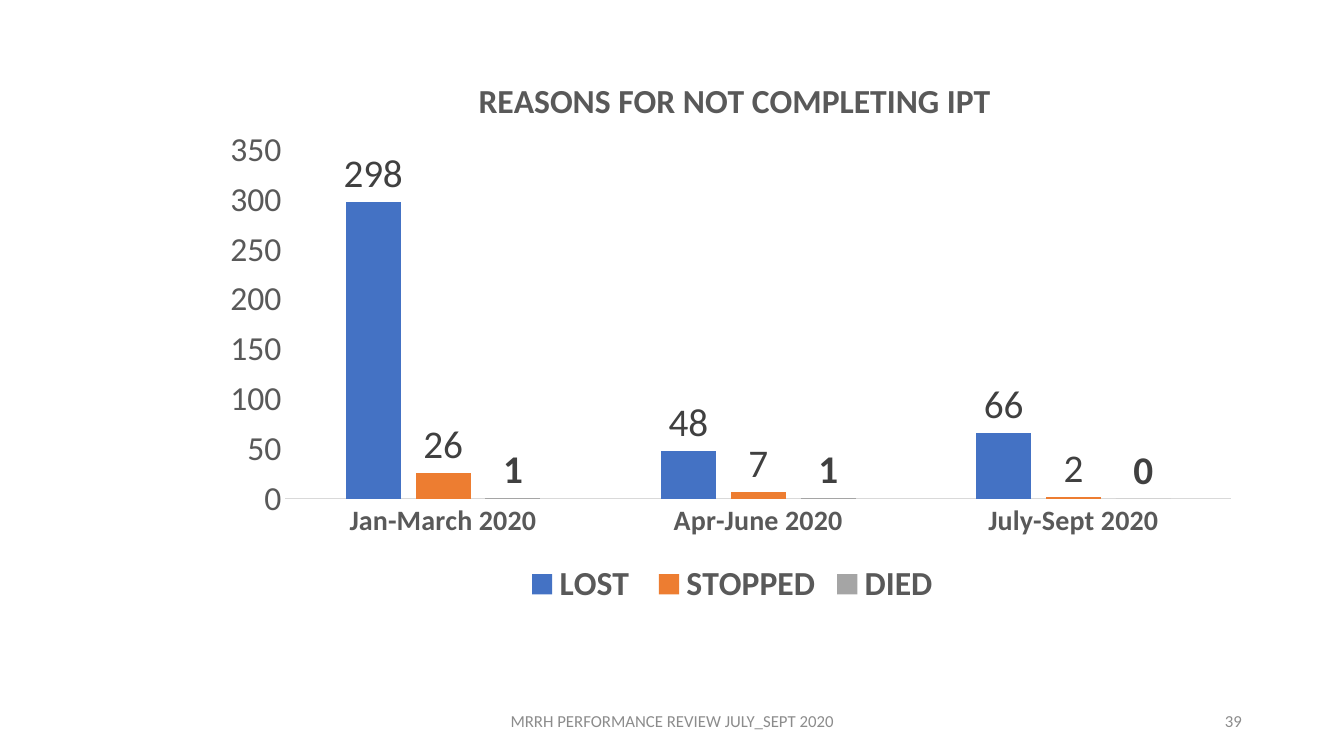
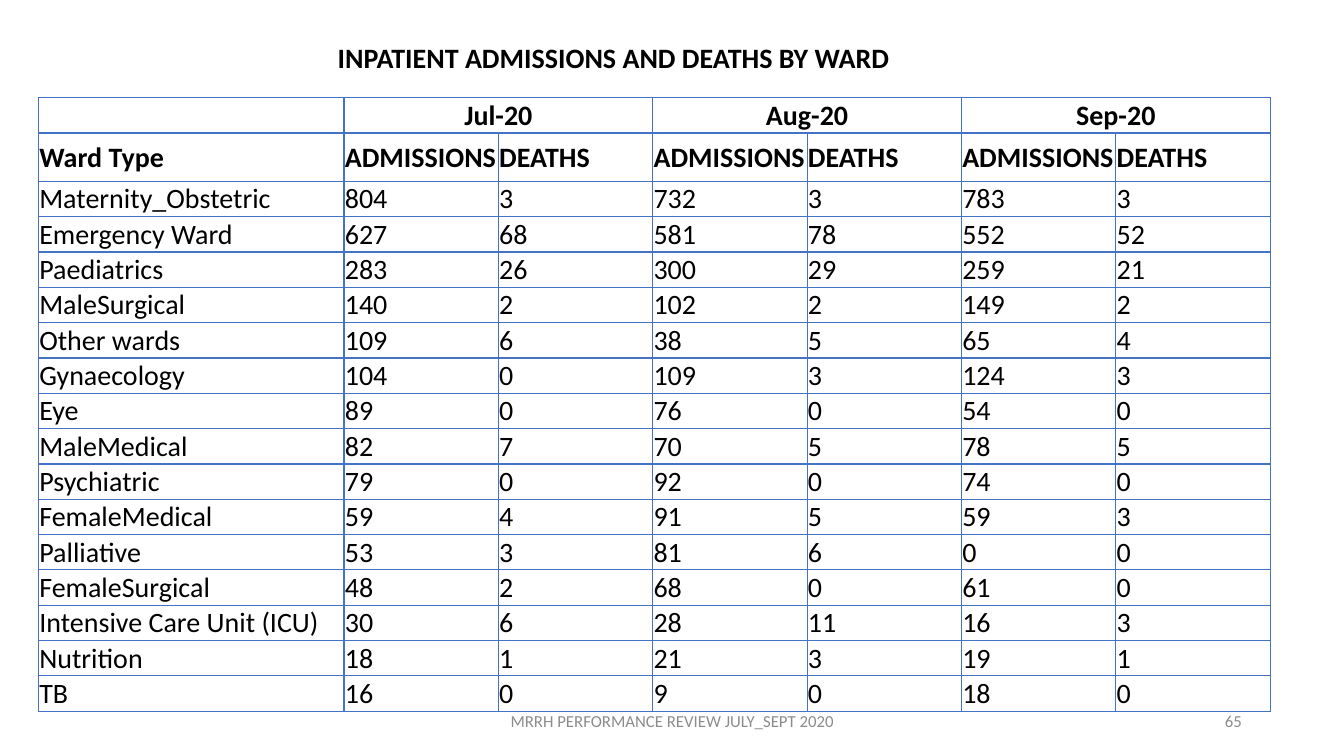
from dataclasses import dataclass

from lxml import etree
from pptx import Presentation
from pptx.chart.data import CategoryChartData
from pptx.dml.color import RGBColor
from pptx.enum.chart import XL_CHART_TYPE, XL_LABEL_POSITION, XL_LEGEND_POSITION, XL_TICK_MARK
from pptx.enum.text import MSO_ANCHOR, MSO_AUTO_SIZE, PP_ALIGN
from pptx.oxml import parse_xml
from pptx.oxml.ns import nsdecls, qn
from pptx.util import Cm, Pt

LEFT, CENTER, RIGHT = PP_ALIGN.LEFT, PP_ALIGN.CENTER, PP_ALIGN.RIGHT
MIDDLE = MSO_ANCHOR.MIDDLE
NO_TICKS = XL_TICK_MARK.NONE
OUTSIDE_END = XL_LABEL_POSITION.OUTSIDE_END
TITLE_ONLY, BLANK = 5, 6

# Content
FOOTER = "MRRH PERFORMANCE REVIEW JULY_SEPT 2020"

REASONS_TITLE = "REASONS FOR NOT COMPLETING IPT"
QUARTERS = ["Jan-March 2020", "Apr-June 2020", "July-Sept 2020"]
REASONS = [  # name, counts per quarter, colour, bold labels
    ("LOST ", (298, 48, 66), "4472C4", False),
    ("STOPPED", (26, 7, 2), "ED7D31", False),
    ("DIED", (1, 1, 0), "A5A5A5", True),
]

WARDS_TITLE = "INPATIENT ADMISSIONS AND DEATHS BY WARD"
MONTHS = ["Jul-20", "Aug-20", "Sep-20"]
MEASURES = ["ADMISSIONS", "DEATHS"]
WARDS = [  # admissions and deaths, month by month
    ("Maternity_Obstetric", 804, 3, 732, 3, 783, 3),
    ("Emergency Ward", 627, 68, 581, 78, 552, 52),
    ("Paediatrics", 283, 26, 300, 29, 259, 21),
    ("MaleSurgical", 140, 2, 102, 2, 149, 2),
    ("Other wards", 109, 6, 38, 5, 65, 4),
    ("Gynaecology", 104, 0, 109, 3, 124, 3),
    ("Eye", 89, 0, 76, 0, 54, 0),
    ("MaleMedical", 82, 7, 70, 5, 78, 5),
    ("Psychiatric", 79, 0, 92, 0, 74, 0),
    ("FemaleMedical", 59, 4, 91, 5, 59, 3),
    ("Palliative", 53, 3, 81, 6, 0, 0),
    ("FemaleSurgical", 48, 2, 68, 0, 61, 0),
    ("Intensive Care Unit (ICU)", 30, 6, 28, 11, 16, 3),
    ("Nutrition", 18, 1, 21, 3, 19, 1),
    ("TB", 16, 0, 9, 0, 18, 0),
]


@dataclass(frozen=True)
class Theme:
    font: str = "Calibri"
    text: str = "000000"
    footer: str = "8C8C8C"
    chart_text: str = "595959"
    label_text: str = "404040"
    axis_line: str = "D9D9D9"
    border: str = "4472C4"
    footer_size: int = 12
    body_size: int = 20
    chart_size: int = 24
    label_size: int = 28


THEME = Theme()


def style_font(font, size, color, bold=False):
    font.name = THEME.font
    font.size = Pt(size)
    font.bold = bold
    font.color.rgb = RGBColor.from_string(color)


def set_text(frame, text, size, color, align, bold=False):
    frame.text = text
    paragraph = frame.paragraphs[0]
    paragraph.alignment = align
    style_font(paragraph.font, size, color, bold)


def add_footer(slide, number):
    for text, left, width, align in ((FOOTER, 11.23, 11.43, CENTER),
                                     (number, 23.93, 7.62, RIGHT)):
        frame = slide.shapes.add_textbox(Cm(left), Cm(17.65), Cm(width), Cm(1.02)).text_frame
        frame.word_wrap = True
        frame.vertical_anchor = MIDDLE
        set_text(frame, text, THEME.footer_size, THEME.footer, align)


def set_layout(parent, index, **fractions):
    """Fix a chart part's place, in fractions of the chart."""
    for old in parent.findall(qn("c:layout")):
        parent.remove(old)
    layout = parse_xml(f"<c:layout {nsdecls('c')}><c:manualLayout/></c:layout>")
    manual = layout[0]
    if "w" in fractions:
        etree.SubElement(manual, qn("c:layoutTarget"), val="inner")
    for side in ("x", "y"):
        etree.SubElement(manual, qn(f"c:{side}Mode"), val="edge")
    for key, value in fractions.items():
        etree.SubElement(manual, qn(f"c:{key}"), val=str(value))
    parent.insert(index, layout)


def add_reasons_chart(slide):
    data = CategoryChartData()
    data.categories = QUARTERS
    for name, counts, *_ in REASONS:
        data.add_series(name, counts)
    chart = slide.shapes.add_chart(XL_CHART_TYPE.COLUMN_CLUSTERED, Cm(5.36), Cm(1.24),
                                   Cm(26.19), Cm(14.17), data).chart
    style_font(chart.font, 10, THEME.text)

    # Title and legend
    chart.has_title = True
    set_text(chart.chart_title.text_frame, REASONS_TITLE, THEME.chart_size,
             THEME.chart_text, CENTER, bold=True)
    set_layout(chart.chart_title.element, 1, x=0.25, y=0.04)
    chart.has_legend = True
    chart.legend.position = XL_LEGEND_POSITION.BOTTOM
    chart.legend.include_in_layout = False
    style_font(chart.legend.font, THEME.chart_size, THEME.chart_text, bold=True)

    # Axes
    quarters, counts_axis = chart.category_axis, chart.value_axis
    for axis in (quarters, counts_axis):
        axis.major_tick_mark = axis.minor_tick_mark = NO_TICKS
        axis.has_major_gridlines = False
    style_font(quarters.tick_labels.font, THEME.body_size, THEME.chart_text, bold=True)
    quarters.format.line.color.rgb = RGBColor.from_string(THEME.axis_line)
    quarters.format.line.width = Pt(0.75)
    style_font(counts_axis.tick_labels.font, THEME.chart_size, THEME.chart_text)
    counts_axis.format.line.fill.background()
    counts_axis.minimum_scale, counts_axis.maximum_scale = 0, 350
    counts_axis.major_unit = 50

    # Columns
    columns = chart.plots[0]
    columns.gap_width, columns.overlap = 219, -27
    columns.vary_by_categories = False
    for series, (_, _, color, bold) in zip(columns.series, REASONS):
        series.format.fill.solid()
        series.format.fill.fore_color.rgb = RGBColor.from_string(color)
        labels = series.data_labels
        labels.show_value = True
        labels.position = OUTSIDE_END
        style_font(labels.font, THEME.label_size, THEME.label_text, bold)
    plot_area = chart.element.find(f".//{qn('c:plotArea')}")
    set_layout(plot_area, 0, x=0.07, y=0.18, w=0.91, h=0.62)


def format_cell(cell, text, align, bold):
    cell.margin_left = cell.margin_right = cell.margin_top = Cm(0.02)
    cell.margin_bottom = 0
    cell.vertical_anchor = MIDDLE
    set_text(cell.text_frame, text, THEME.body_size, THEME.text, align, bold)
    properties = cell._tc.get_or_add_tcPr()
    for side in "LRTB":
        properties.append(parse_xml(
            f'<a:ln{side} {nsdecls("a")} w="{Pt(1)}"><a:solidFill>'
            f'<a:srgbClr val="{THEME.border}"/></a:solidFill></a:ln{side}>'))
    cell.fill.background()


def add_wards_table(slide):
    month_row = [""]
    for month in MONTHS:
        month_row += [month, ""]
    rows = [month_row, ["Ward Type"] + MEASURES * len(MONTHS), *WARDS]
    widths = [7.7] + [3.89] * (len(month_row) - 1)
    heights = [0.89, 1.22] + [0.89] * len(WARDS)
    table = slide.shapes.add_table(len(rows), len(widths), Cm(0.97), Cm(2.46),
                                   Cm(sum(widths)), Cm(sum(heights))).table
    table.first_row = table.horz_banding = False
    for column, width in zip(table.columns, widths):
        column.width = Cm(width)
    for row, height in zip(table.rows, heights):
        row.height = Cm(height)
    for r, values in enumerate(rows):
        for c, value in enumerate(values):
            format_cell(table.cell(r, c), str(value), CENTER if r == 0 else LEFT, r < 2)
    for c in range(1, len(widths), len(MEASURES)):
        table.cell(0, c).merge(table.cell(0, c + len(MEASURES) - 1))


def add_title(slide, text):
    title = slide.shapes.title
    title.left, title.top, title.width, title.height = Cm(8.2), Cm(0.89), Cm(14.53), Cm(1.12)
    frame = title.text_frame
    frame.auto_size = MSO_AUTO_SIZE.NONE
    frame.word_wrap = False
    frame.vertical_anchor = MIDDLE
    set_text(frame, text, THEME.body_size, THEME.text, CENTER, bold=True)


def main():
    deck = Presentation()
    deck.slide_width, deck.slide_height = Cm(33.87), Cm(19.05)

    # Reasons for not completing IPT
    reasons = deck.slides.add_slide(deck.slide_layouts[BLANK])
    add_footer(reasons, "39")
    add_reasons_chart(reasons)

    # Admissions and deaths by ward
    wards = deck.slides.add_slide(deck.slide_layouts[TITLE_ONLY])
    add_title(wards, WARDS_TITLE)
    add_footer(wards, "65")
    add_wards_table(wards)

    deck.save("out.pptx")


if __name__ == "__main__":
    main()
